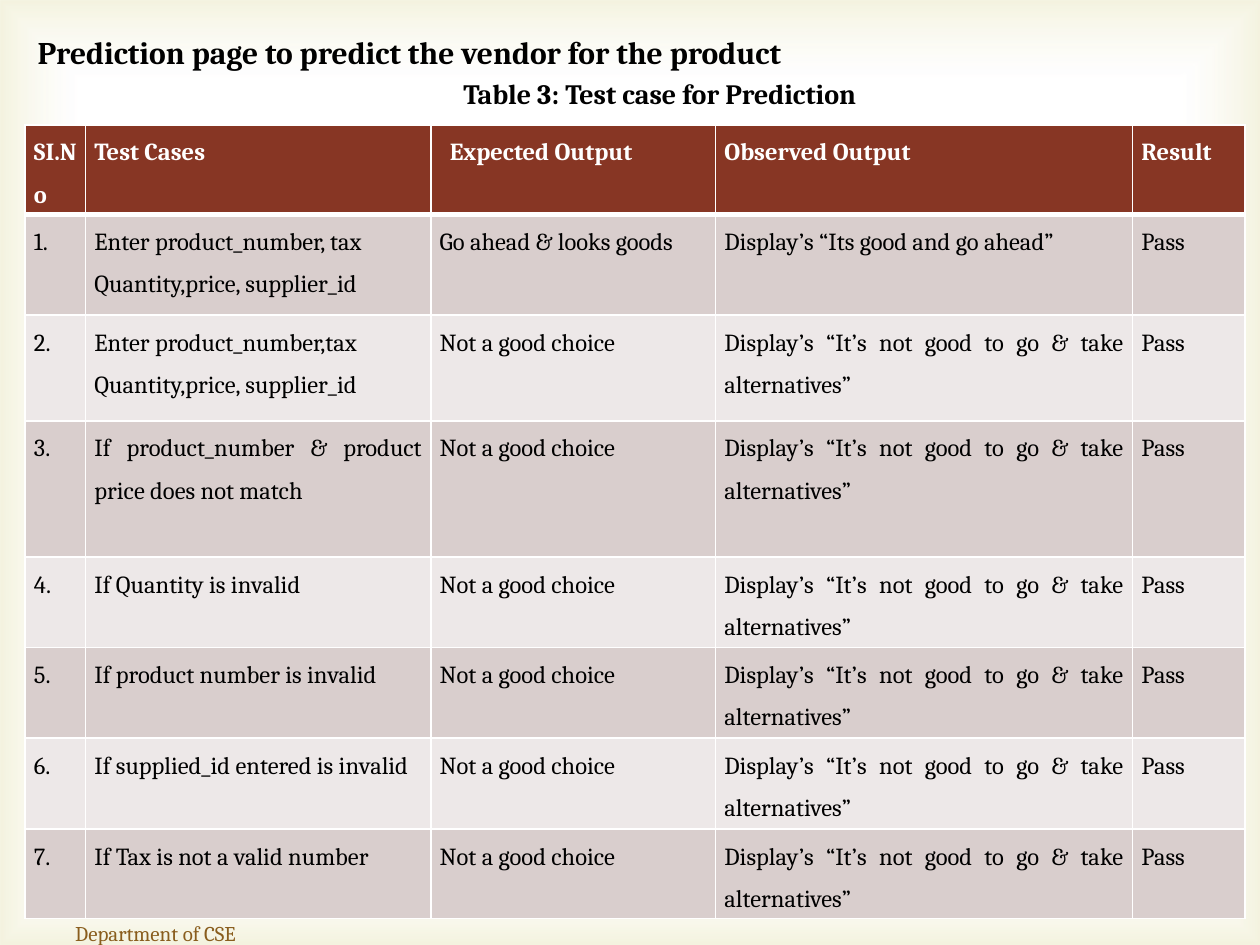
from itertools import accumulate

from lxml import etree
from pptx import Presentation
from pptx.dml.color import RGBColor
from pptx.enum.shapes import MSO_SHAPE
from pptx.enum.text import MSO_ANCHOR, PP_ALIGN
from pptx.oxml.ns import qn
from pptx.util import Inches, Pt

RECTANGLE = MSO_SHAPE.RECTANGLE
TOP, MIDDLE = MSO_ANCHOR.TOP, MSO_ANCHOR.MIDDLE
LEFT, CENTER, JUSTIFY = PP_ALIGN.LEFT, PP_ALIGN.CENTER, PP_ALIGN.JUSTIFY

WIDTH, HEIGHT = Inches(10), Inches(7.5)
GRID_COLUMNS, GRID_ROWS = 100, 75
FONT = "Cambria"
COLORS = {
    "paper": "FFFFFF",
    "glow": "D1CA75",
    "header": "873624",
    "odd": "D9CECD",
    "even": "EDE8E8",
    "ink": "000000",
    "footer": "895D1D",
}

COLUMN_WIDTHS = [4.8, 27.4, 22.6, 33.1, 8.9]
ROW_HEIGHTS = [7.1, 8, 8.4, 10.8, 7.2, 7.2, 7.2, 7.1]
HEADINGS = ["SI.No", "Test Cases", "Expected Output", "Observed Output", "Result"]
REJECTED = ("Not a good choice", "Display’s “It’s not good to go & take alternatives”")
ACCEPTED = ("Go ahead & looks goods", "Display’s “Its good and go ahead”")
TEST_CASES = [
    ("Enter product_number, tax\nQuantity,price, supplier_id", ACCEPTED),
    ("Enter product_number,tax\nQuantity,price, supplier_id", REJECTED),
    ("If product_number & product price does not match", REJECTED),
    ("If Quantity is invalid", REJECTED),
    ("If product number is invalid", REJECTED),
    ("If supplied_id entered is invalid", REJECTED),
    ("If Tax is not a valid number", REJECTED),
]


def across(columns):
    return int(WIDTH * columns / GRID_COLUMNS)


def down(rows):
    return int(HEIGHT * rows / GRID_ROWS)


def rgb(name):
    return RGBColor.from_string(COLORS[name])


def write(frame, text, size=14, color="ink", bold=False, align=LEFT, spacing=None):
    for index, line in enumerate(text.split("\n")):
        paragraph = frame.add_paragraph() if index else frame.paragraphs[0]
        paragraph.alignment = align
        paragraph.line_spacing = spacing
        run = paragraph.add_run()
        run.text = line
        run.font.name = FONT
        run.font.size = Pt(size)
        run.font.bold = bold
        run.font.color.rgb = rgb(color)


def add_label(slide, text, left, top, width, height, wrap=False, anchor=TOP, **style):
    label = slide.shapes.add_textbox(across(left), down(top), across(width), down(height))
    label.text_frame.word_wrap = wrap
    label.text_frame.vertical_anchor = anchor
    write(label.text_frame, text, **style)


def add_color(parent, name, alpha=None):
    color = etree.SubElement(parent, qn("a:srgbClr"), val=COLORS[name])
    if alpha is not None:
        etree.SubElement(color, qn("a:alpha"), val=str(alpha * 1000))


def add_glow(slide):
    glow = slide.shapes.add_shape(RECTANGLE, 0, 0, WIDTH, HEIGHT)
    glow.shadow.inherit = False
    glow.line.fill.background()
    glow.fill.gradient()
    gradient = glow.fill._xPr.find(qn("a:gradFill"))
    for child in list(gradient):
        gradient.remove(child)
    stops = etree.SubElement(gradient, qn("a:gsLst"))
    for position, name, alpha in ((83, "paper", 11), (100, "glow", 23)):
        stop = etree.SubElement(stops, qn("a:gs"), pos=str(position * 1000))
        add_color(stop, name, alpha)
    shade = etree.SubElement(gradient, qn("a:path"), {"path": "rect"})
    center = dict.fromkeys("ltrb", "50000")
    etree.SubElement(shade, qn("a:fillToRect"), center)


def add_borders(cell, bottom):
    properties = cell._tc.get_or_add_tcPr()
    for side, points in (("L", 1), ("R", 1), ("T", 1), ("B", bottom)):
        border = etree.SubElement(properties, qn(f"a:ln{side}"), w=str(Pt(points)))
        add_color(etree.SubElement(border, qn("a:solidFill")), "paper")


def fill_cell(cell, text, fill, bottom=1, indent=0, **style):
    cell.margin_left = across(0.7 + indent)
    cell.margin_right = across(0.7)
    cell.margin_top = cell.margin_bottom = 0
    add_borders(cell, bottom)
    cell.fill.solid()
    cell.fill.fore_color.rgb = rgb(fill)
    write(cell.text_frame, text, align=JUSTIFY, spacing=1.5, **style)


def add_test_table(slide):
    *_, total_width = accumulate(COLUMN_WIDTHS)
    *_, total_height = accumulate(ROW_HEIGHTS)
    table = slide.shapes.add_table(
        len(ROW_HEIGHTS), len(COLUMN_WIDTHS),
        across(2), down(9.9), across(total_width), down(total_height),
    ).table
    for column, width in zip(table.columns, COLUMN_WIDTHS):
        column.width = across(width)
    for row, height in zip(table.rows, ROW_HEIGHTS):
        row.height = down(height)
    for index, heading in enumerate(HEADINGS):
        indent = 0.8 if heading == "Expected Output" else 0
        fill_cell(table.cell(0, index), heading, "header", bottom=3,
                  indent=indent, color="paper", bold=True)
    for number, (test_case, outputs) in enumerate(TEST_CASES, 1):
        fill = "odd" if number % 2 else "even"
        for index, text in enumerate((f"{number}.", test_case, *outputs, "Pass")):
            fill_cell(table.cell(number, index), text, fill, bottom=3 if number == 0 else 1)


def main():
    deck = Presentation()
    deck.slide_width, deck.slide_height = WIDTH, HEIGHT
    slide = deck.slides.add_slide(deck.slide_layouts[6])
    slide.background.fill.solid()
    slide.background.fill.fore_color.rgb = rgb("paper")
    add_glow(slide)
    add_test_table(slide)
    add_label(slide, "Table 3: Test case for Prediction",
              35.8, 5.6, 34.6, 3.7, size=16, bold=True)
    add_label(slide, "Prediction page to predict the vendor for the product",
              2, 2.1, 62.6, 4, size=18, bold=True)
    add_label(slide, "Department of CSE", -3.5, 72.1, 31.7, 4, wrap=True,
              anchor=MIDDLE, size=12, color="footer", align=CENTER)
    deck.save("out.pptx")


if __name__ == "__main__":
    main()
